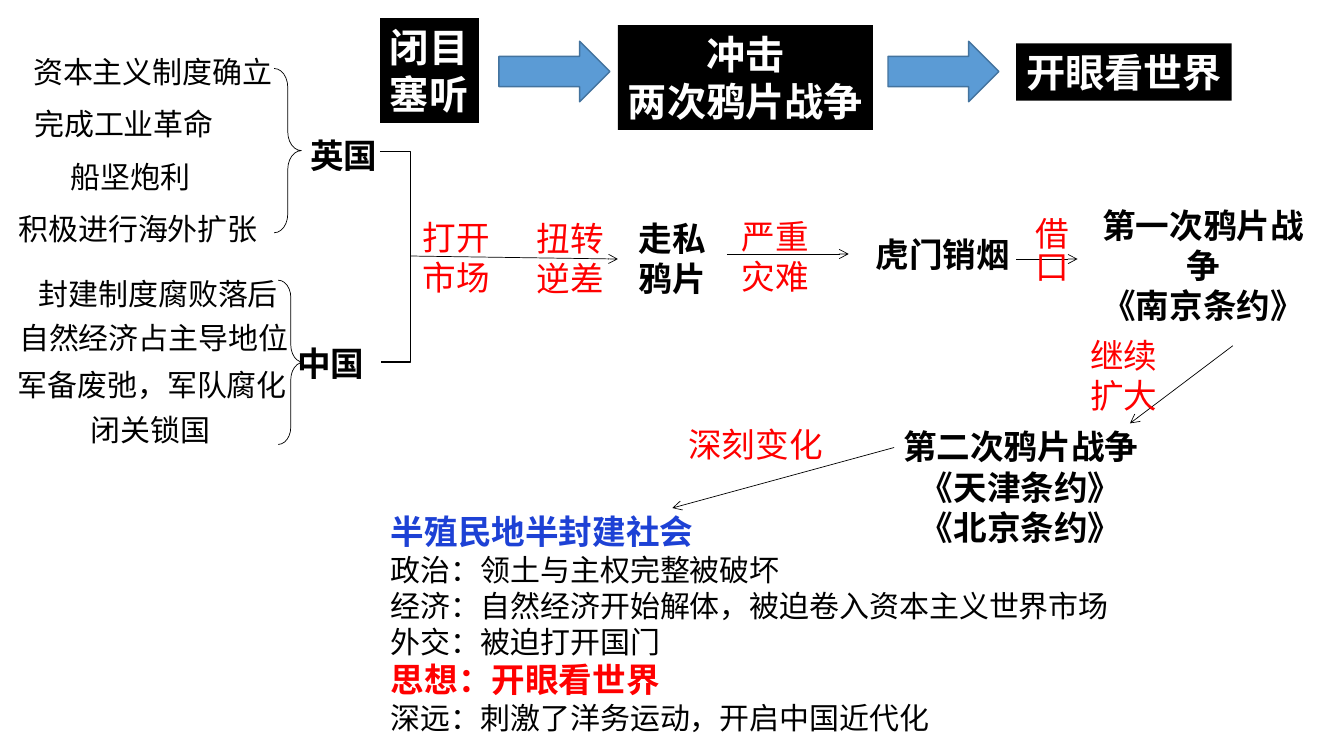
import dataclasses

import lxml.etree
import pptx
import pptx.dml.color
import pptx.enum.shapes
import pptx.enum.text
import pptx.oxml.ns
import pptx.util

SHAPES = pptx.enum.shapes.MSO_SHAPE
ALIGN = pptx.enum.text.PP_ALIGN
AUTO_SIZE = pptx.enum.text.MSO_AUTO_SIZE

# The grid has ten columns and ten rows to the inch
CELL = pptx.util.Inches(0.1)
COLUMNS, ROWS = 133.33, 75


@dataclasses.dataclass(frozen=True)
class Theme:
    body_font: str = "Noto Sans CJK SC"
    banner_font: str = "Calibri"
    ink: str = "000000"
    paper: str = "FFFFFF"
    red: str = "FF0000"
    blue: str = "1D41D5"
    arrow_fill: str = "5B9BD5"
    arrow_line: str = "43739E"
    banner_size: float = 28
    event_size: float = 24
    detail_size: float = 21.4
    thin: float = 0.5
    medium: float = 1


THEME = Theme()
EVENT = {"size": THEME.event_size, "bold": True, "color": THEME.ink}
LABEL = {"size": THEME.event_size, "bold": False, "color": THEME.red}
DETAIL = {"size": THEME.detail_size, "bold": False, "color": THEME.ink}
BANNER = {"size": THEME.banner_size, "bold": True, "color": THEME.paper,
          "name": THEME.banner_font}
OUTCOME = EVENT | {"color": THEME.blue}
THOUGHT = EVENT | {"color": THEME.red}


def cells(*counts):
    return [round(count * CELL) for count in counts]


def rgb(value):
    return pptx.dml.color.RGBColor.from_string(value)


def style_font(font, style):
    formats = {"name": THEME.body_font} | style
    formats["size"] = pptx.util.Pt(formats["size"])
    font.color.rgb = rgb(formats.pop("color"))
    for name, value in formats.items():
        setattr(font, name, value)


def style_line(line, color, width):
    line.color.rgb = rgb(color)
    line.width = pptx.util.Pt(width)


def fill_text(frame, lines, align, wrap=True):
    """Write (text, style) pairs, one to a paragraph."""
    formats = {"word_wrap": wrap, "auto_size": AUTO_SIZE.SHAPE_TO_FIT_TEXT}
    for name, value in formats.items():
        setattr(frame, name, value)
    for index, (text, style) in enumerate(lines):
        para = frame.add_paragraph() if index else frame.paragraphs[0]
        para.alignment = align
        span = para.add_run()
        span.text = text
        style_font(span.font, style)


def add_text(page, place, text, style, vertical=False):
    box = page.shapes.add_textbox(*cells(*place))
    fill_text(box.text_frame, [(line, style) for line in text.split("\n")],
              ALIGN.CENTER)
    if vertical:
        properties = box.text_frame._txBody.find(pptx.oxml.ns.qn("a:bodyPr"))
        properties.set("vert", "eaVert")


def add_shape(page, kind, place, fill=None, line=None, width=THEME.medium):
    shape = page.shapes.add_shape(kind, *cells(*place))
    shape.shadow.inherit = False
    if fill:
        shape.fill.solid()
        shape.fill.fore_color.rgb = rgb(fill)
    else:
        shape.fill.background()
    if line:
        style_line(shape.line, line, width)
    else:
        shape.line.fill.background()
    return shape


def add_banner(page, place, text, align=ALIGN.CENTER):
    banner = add_shape(page, SHAPES.RECTANGLE, place, fill=THEME.ink)
    fill_text(banner.text_frame, [(line, BANNER) for line in text.split("\n")],
              align, wrap=False)


def add_brace(page, place):
    brace = add_shape(page, SHAPES.RIGHT_BRACE, place, line=THEME.ink,
                      width=THEME.thin)
    brace.adjustments[0] = 0.69
    brace.adjustments[1] = 0.5


def add_arrow(page, ends):
    arrow = page.shapes.add_connector(
        pptx.enum.shapes.MSO_CONNECTOR.STRAIGHT, *cells(*ends))
    style_line(arrow.line, THEME.ink, THEME.thin)
    qn = pptx.oxml.ns.qn
    lxml.etree.SubElement(arrow.line._get_or_add_ln(), qn("a:tailEnd"),
                          type="arrow")
    lxml.etree.SubElement(arrow._element.spPr, qn("a:effectLst"))


def add_bracket(page, points):
    corners = [cells(*point) for point in points]
    builder = page.shapes.build_freeform(*corners[0])
    builder.add_line_segments(corners[1:], close=False)
    bracket = builder.convert_to_shape()
    bracket.shadow.inherit = False
    bracket.fill.background()
    style_line(bracket.line, THEME.ink, THEME.medium)


def add_countries(page):
    for place, text in [
        ((27.9, 12.9, 12.4, 5), "英国"),
        ((26.6, 33.5, 12.4, 5), "中国"),
    ]:
        add_text(page, place, text, EVENT)
    add_bracket(page, [(37.7, 15), (40.7, 15), (40.7, 35.9), (37.8, 35.9)])
    for place in [(27.2, 6.8, 2.7, 16.3), (27.6, 27.8, 2.5, 16.3)]:
        add_brace(page, place)
    for left, top, width, text in [
        (1.7, 4.8, 26.9, "资本主义制度确立"),
        (-1, 10, 26.6, "完成工业革命"),
        (0.3, 15.2, 25.3, "船坚炮利"),
        (-0.4, 20.4, 28.2, "积极进行海外扩张"),
        (1.7, 26.8, 28, "封建制度腐败落后"),
        (0.4, 31.2, 29.7, "自然经济占主导地位"),
        (-1.8, 35.9, 33.8, "军备废弛，军队腐化"),
        (3.2, 40.3, 23.4, "闭关锁国"),
    ]:
        add_text(page, (left, top, width, 4.6), text, DETAIL)


def add_events(page):
    for ends in [
        (40.7, 25.4, 61.3, 25.7),
        (72.1, 25.2, 84.2, 25.2),
        (100.8, 25.7, 106.9, 25.7),
        (122.3, 34.3, 112.1, 42),
        (88.7, 44.4, 66.7, 50.4),
    ]:
        add_arrow(page, ends)
    for place, text in [
        ((61.3, 21.1, 10.8, 9.1), "走私\n鸦片"),
        ((84.2, 22.7, 18.7, 5), "虎门销烟"),
        ((106.9, 19.8, 24.9, 13.1), "第一次鸦片战争\n《南京条约》"),
        ((83.8, 41.8, 34.9, 13.1), "第二次鸦片战争\n《天津条约》\n《北京条约》"),
    ]:
        add_text(page, place, text, EVENT)
    for place, text in [
        ((39, 21, 12.5, 9.1), "打开\n市场"),
        ((50.8, 21.1, 11.6, 9.1), "扭转逆差"),
        ((71.2, 20.9, 11.4, 9.1), "严重灾难"),
        ((105.7, 32.7, 11.6, 9.1), "继续扩大"),
        ((66.7, 41.6, 16.5, 5), "深刻变化"),
    ]:
        add_text(page, place, text, LABEL)
    add_text(page, (100.8, 20.5, 6, 10.2), "借口", LABEL, vertical=True)


def add_outcome(page):
    box = page.shapes.add_textbox(*cells(37.8, 50.2, 80.9, 23.5))
    fill_text(box.text_frame, [
        ("半殖民地半封建社会", OUTCOME),
        ("政治：领土与主权完整被破坏", DETAIL),
        ("经济：自然经济开始解体，被迫卷入资本主义世界市场", DETAIL),
        ("外交：被迫打开国门", DETAIL),
        ("思想：开眼看世界", THOUGHT),
        ("深远：刺激了洋务运动，开启中国近代化", DETAIL),
    ], ALIGN.LEFT)


def add_heading(page):
    add_banner(page, (37.7, 1.8, 9.8, 10.4), "闭目\n塞听", ALIGN.LEFT)
    add_banner(page, (61.3, 2.5, 25.3, 10.4), "冲击\n两次鸦片战争")
    add_banner(page, (100.8, 4.3, 21.4, 5.7), "开眼看世界")
    for left in (49.5, 88.1):
        add_shape(page, SHAPES.RIGHT_ARROW, (left, 4.1, 11, 6),
                  fill=THEME.arrow_fill, line=THEME.arrow_line)


def main():
    deck = pptx.Presentation()
    deck.slide_width, deck.slide_height = cells(COLUMNS, ROWS)
    page = deck.slides.add_slide(deck.slide_layouts[6])
    add_countries(page)
    add_events(page)
    add_outcome(page)
    add_heading(page)
    deck.save("out.pptx")


if __name__ == "__main__":
    main()
